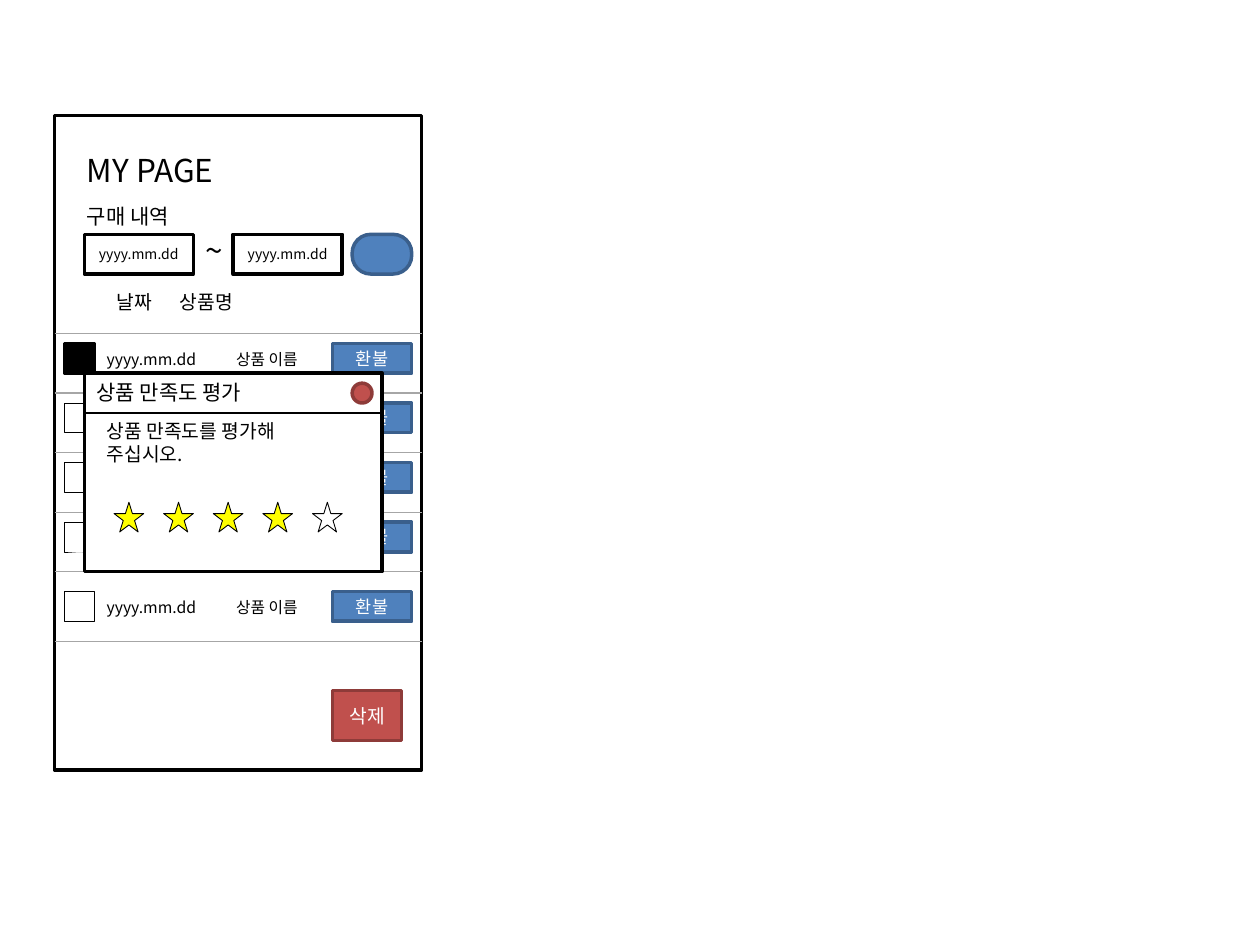
import pptx
import pptx.util
import pptx.oxml.ns
import pptx.dml.color
import pptx.enum.shapes
import pptx.enum.text
import lxml.etree

RGB = pptx.dml.color.RGBColor.from_string
MSO = pptx.enum.shapes.MSO_SHAPE
TXT = pptx.enum.text
qn = pptx.oxml.ns.qn

THEME = {
    "font": "Noto Sans CJK KR",
    "ink": "000000", "paper": "FFFFFF", "rule": "A6A6A6", "star": "FFFF00",
    "blue": "4F81BD", "blue_edge": "3A5F8C", "red": "C0504D", "red_edge": "8E3B39",
    "title": 18, "heading": 12, "body": 11, "button": 10, "row": 9, "date": 8,
    "thick": 2, "medium": 1.5, "thin": 0.75, "fine": 0.5, "hair": 0.25,
}

# One grid cell is a millimetre; columns and rows count from the phone frame.
CELL = pptx.util.Mm(1)
LEFT, TOP = 11, 23.25
PHONE_W, PHONE_H = 74, 132

prs = pptx.Presentation()
prs.slide_width, prs.slide_height = pptx.util.Inches(10), pptx.util.Inches(7.5)
s = prs.slides.add_slide(prs.slide_layouts[6])


def add_item(kind, col, row, w, h, text="", size="body", color="ink",
             fill=None, edge=None, weight="thick"):
    box = [round(v * CELL) for v in (LEFT + col, TOP + row, w, h)]
    if kind is None:
        sp = s.shapes.add_textbox(*box)
        fmt = {"word_wrap": True, "auto_size": TXT.MSO_AUTO_SIZE.SHAPE_TO_FIT_TEXT}
    else:
        sp = s.shapes.add_shape(kind, *box)
        sp.shadow.inherit = False
        sp.line.color.rgb = RGB(THEME[edge])
        sp.line.width = pptx.util.Pt(THEME[weight])
        if fill:
            sp.fill.solid()
            sp.fill.fore_color.rgb = RGB(THEME[fill])
        else:
            sp.fill.background()
        fmt = {"word_wrap": True, "vertical_anchor": TXT.MSO_ANCHOR.MIDDLE}
    if text:
        tf = sp.text_frame
        for name, value in fmt.items():
            setattr(tf, name, value)
        p = tf.paragraphs[0]
        p.alignment = TXT.PP_ALIGN.CENTER if kind else TXT.PP_ALIGN.LEFT
        r = p.add_run()
        r.text = text
        for name, value in {"name": THEME["font"], "size": pptx.util.Pt(THEME[size])}.items():
            setattr(r.font, name, value)
        r.font.color.rgb = RGB(THEME[color])
        ea = lxml.etree.SubElement(r.font._element, qn("a:ea"))
        ea.set("typeface", THEME["font"])
    return sp


def add_rule(col, row, w, color, weight):
    x, y, end = [round(v * CELL) for v in (LEFT + col, TOP + row, LEFT + col + w)]
    line = s.shapes.add_connector(pptx.enum.shapes.MSO_CONNECTOR.STRAIGHT, x, y, end, y)
    line.line.color.rgb = RGB(THEME[color])
    line.line.width = pptx.util.Pt(THEME[weight])
    lxml.etree.SubElement(line._element.spPr, qn("a:effectLst"))


# Phone frame, title and search bar
add_item(MSO.RECTANGLE, 0, 0, PHONE_W, PHONE_H, fill="paper", edge="ink")
add_item(None, 4, 6, 42, 10.25, "MY PAGE", "title")
add_item(None, 4, 16.5, 28, 7.7, "구매 내역", "heading")
for col in (6, 36):
    add_item(MSO.RECTANGLE, col, 24, 22, 8, "yyyy.mm.dd", "date", fill="paper", edge="ink")
add_item(None, 28, 22, 10, 10.25, "~", "title")
search = add_item(MSO.ROUNDED_RECTANGLE, 60, 24, 12, 8, fill="blue", edge="blue_edge")
search.adjustments[0] = 0.47

# Purchase list
add_item(None, 10, 34, 64, 7.3, "날짜\t상품명")
for row in (44, 56, 68, 80, 92, 106):
    add_rule(0, row, PHONE_W, "rule", "thin")
for row, checked, label in (
    (46, True, "yyyy.mm.dd \t 상품 이름"),
    (58, False, ""),
    (70, False, ""),
    (82, False, ""),
    (96, False, "yyyy.mm.dd \t 상품 이름"),
):
    if label:
        add_item(None, 8, row, 48, 6.4, label, "row")
    add_item(MSO.RECTANGLE, 2, row, 6, 6, fill="ink" if checked else "paper",
             edge="ink", weight="thick" if checked else "hair")
    add_item(MSO.RECTANGLE, 56, row, 16, 6, "환불", "button", "paper", "blue", "blue_edge")
add_item(MSO.RECTANGLE, 56, 116, 14, 10, "삭제", "body", "paper", "red", "red_edge")

# Rating dialog
add_item(MSO.RECTANGLE, 6, 52, 60, 40, fill="paper", edge="ink")
add_rule(6, 60, 60, "ink", "medium")
add_item(MSO.OVAL, 60, 54, 4, 4, fill="red", edge="red_edge")
add_item(None, 6, 52, 48, 7.7, "상품 만족도 평가", "heading")
add_item(None, 8, 60, 54, 12, "상품 만족도를 평가해 주십시오.")
RATING, STARS = 4, 5
for i in range(STARS):
    add_item(MSO.STAR_5_POINT, 12 + 10 * i, 78, 6, 6,
             fill="star" if i < RATING else None, edge="ink", weight="fine")

prs.save("out.pptx")
